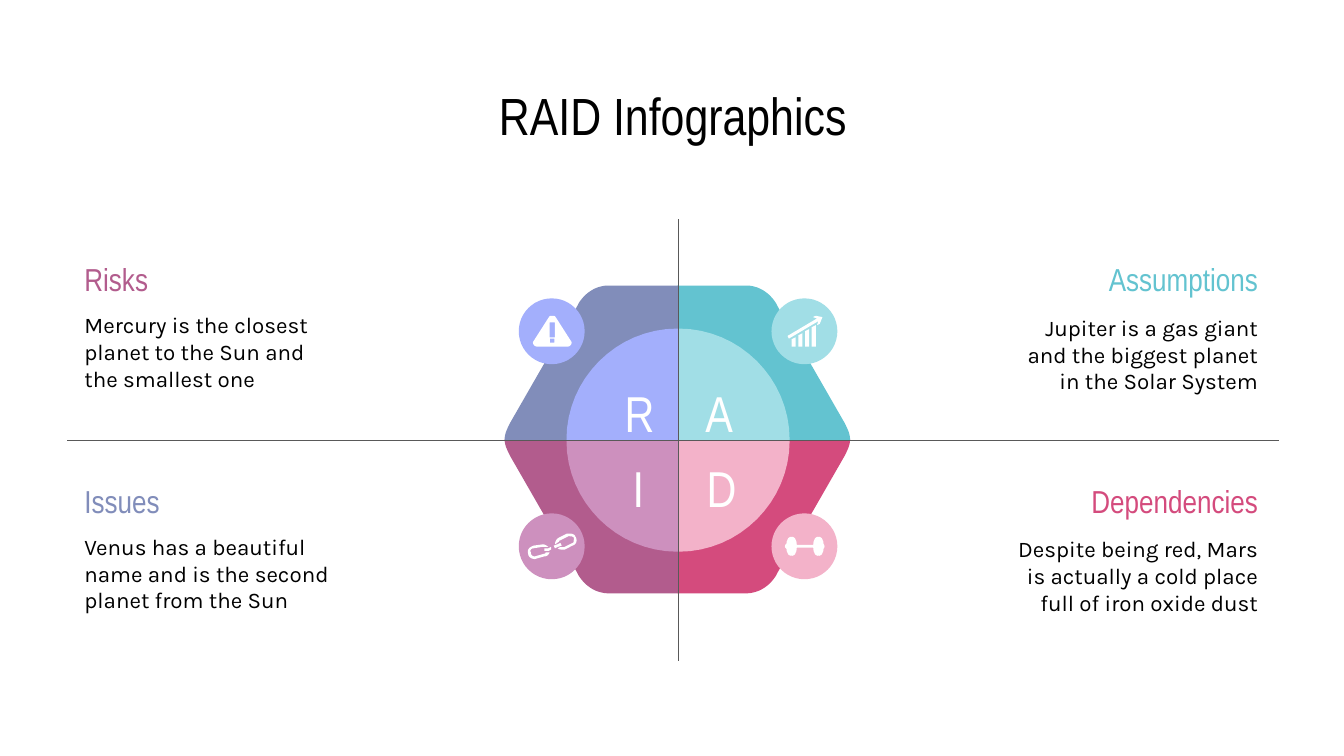
from dataclasses import dataclass

from lxml import etree
from pptx import Presentation
from pptx.dml.color import RGBColor
from pptx.enum.shapes import MSO_CONNECTOR, MSO_SHAPE
from pptx.enum.text import MSO_ANCHOR, MSO_AUTO_SIZE, PP_ALIGN
from pptx.oxml.ns import qn
from pptx.util import Inches, Pt

OVAL, RECTANGLE = MSO_SHAPE.OVAL, MSO_SHAPE.RECTANGLE
STRAIGHT = MSO_CONNECTOR.STRAIGHT
TOP, MIDDLE = MSO_ANCHOR.TOP, MSO_ANCHOR.MIDDLE
LEFT, CENTER, RIGHT = PP_ALIGN.LEFT, PP_ALIGN.CENTER, PP_ALIGN.RIGHT
NO_AUTOFIT = MSO_AUTO_SIZE.NONE


@dataclass(frozen=True)
class Theme:
    black: str = "000000"
    white: str = "FFFFFF"
    gray: str = "595959"
    blue: str = "818DBA"
    light_blue: str = "A3AFFC"
    teal: str = "63C3D0"
    light_teal: str = "A1DEE6"
    purple: str = "B25C8D"
    light_purple: str = "CD90BE"
    red: str = "D44B7D"
    light_red: str = "F3B2C9"
    heading_font: str = "Arial Narrow"
    body_font: str = "Karla"
    title_size: int = 28
    letter_size: int = 27
    heading_size: int = 17
    body_size: int = 12
    line_width: float = 0.75


theme = Theme()
presentation = Presentation()
presentation.slide_width = Inches(10)
presentation.slide_height = presentation.slide_width * 9 // 16
slide = presentation.slides.add_slide(presentation.slide_layouts[5])
shapes = slide.shapes
cell = presentation.slide_width // 100


def add_text(text, box, size, color, font=theme.heading_font, align=CENTER, anchor=MIDDLE, shape=None):
    left, top, width, height = [round(value * cell) for value in box]
    shape = shape or shapes.add_textbox(left, top, width, height)
    shape.left, shape.top, shape.width, shape.height = left, top, width, height
    frame = shape.text_frame
    frame.auto_size = NO_AUTOFIT
    frame.word_wrap = True
    frame.vertical_anchor = anchor
    frame.margin_left = frame.margin_right = frame.margin_top = frame.margin_bottom = Inches(0.1)
    paragraph = frame.paragraphs[0]
    paragraph.alignment = align
    run = paragraph.add_run()
    run.text = text
    run.font.name = font
    run.font.size = Pt(size)
    run.font.color.rgb = RGBColor.from_string(color)


def add_outline(contours, origin=(0, 0), flip=(1, 1)):
    builder = None
    for contour in contours:
        points = []
        for step in contour:
            if len(step) == 2:
                points.append(step)
                continue
            curve = [points[-1], step[:2], step[2:4], step[4:]]
            for index in range(1, 17):
                t = index / 16
                weights = ((1 - t) ** 3, 3 * t * (1 - t) ** 2, 3 * t * t * (1 - t), t ** 3)
                points.append([sum(w * p[axis] for w, p in zip(weights, curve)) for axis in (0, 1)])
        points = [[round((origin[axis] + flip[axis] * point[axis]) * cell) for axis in (0, 1)] for point in points]
        if builder is None:
            builder = shapes.build_freeform(*points[0])
        else:
            builder.move_to(*points[0])
        builder.add_line_segments(points[1:], close=True)
    return builder.convert_to_shape()


add_text("RAID Infographics", (7.8, 5.9, 84.5, 5.3), theme.title_size, theme.black, shape=shapes.title)

wedge = [(8.1, 0), (8.1, 4.5, 4.5, 8.2, 0, 8.2), (0, 11.4), (5.1, 11.4), (6, 11.4, 6.8, 10.9, 7.3, 10.1),
         (7.4, 9.9), (12.4, 1.2), (12.6, 0.8, 12.8, 0.4, 12.8, 0)]
sector = [(0, 0), (8.2, 0), (8.2, 4.5, 4.5, 8.2, 0, 8.2)]

warning_icon = [[
    [(41.3, 24), (41.3, 25.1), (40.9, 25.1), (40.9, 24)],
    [(41.25, 25.2), (41.25, 25.5), (40.92, 25.5), (40.92, 25.2)],
    [(41.1, 23.5), (41, 23.5, 40.9, 23.5, 40.85, 23.6), (39.7, 25.4), (39.6, 25.5, 39.7, 25.8, 40, 25.8),
     (42.2, 25.8), (42.5, 25.8, 42.6, 25.5, 42.5, 25.4), (41.35, 23.6), (41.3, 23.5, 41.2, 23.5, 41.1, 23.5)],
]]
bar_tops = [25.1, 24.8, 24.5, 24.2]
growth_icon = [
    [[(left + 0.3, top), (left, top + 0.15), (left, 25.8), (left + 0.3, 25.8)]]
    for left, top in zip([58.9, 59.4, 59.9, 60.4], bar_tops)
]
growth_icon.append([[(60.7, 23.5), (60.5, 23.6), (60.8, 23.7), (58.6, 25), (58.7, 25.2), (60.9, 23.9),
                     (60.8, 24.2), (61, 24.1), (61.2, 23.6)]])
chain_icon = [
    [[(41, 40.7), (40.8, 40.8), (40.5, 40.8), (40.5, 41), (40.8, 41), (41, 40.9)]],
    [[(40.4, 40.5), (39.7, 40.6), (39.4, 40.7, 39.2, 40.9, 39.3, 41.2), (39.3, 41.4, 39.5, 41.6, 39.8, 41.6),
      (40.5, 41.4), (40.7, 41.4, 40.8, 41.3, 40.9, 41.1), (40.6, 41.1), (40.6, 41.2, 40.5, 41.2, 40.5, 41.2),
      (39.8, 41.4), (39.6, 41.4, 39.5, 41.3, 39.5, 41.1), (39.4, 41, 39.5, 40.8, 39.7, 40.8), (40.3, 40.7),
      (40.4, 40.7, 40.5, 40.7, 40.6, 40.7), (40.8, 40.7), (40.7, 40.6, 40.5, 40.5, 40.4, 40.5)]],
    [[(41.7, 40.4), (41.5, 40.5), (41.2, 40.6), (41.3, 40.8), (41.5, 40.7), (41.8, 40.6)]],
    [[(42.4, 39.7), (42.2, 39.7), (41.6, 40), (41.4, 40.1, 41.3, 40.3, 41.3, 40.5), (41.6, 40.3),
      (41.6, 40.3, 41.6, 40.2, 41.7, 40.2), (42.3, 39.9), (42.5, 39.9, 42.6, 39.9, 42.7, 40),
      (42.7, 40.2, 42.7, 40.4, 42.6, 40.4), (42, 40.7), (41.9, 40.7, 41.8, 40.7, 41.7, 40.7), (41.5, 40.8),
      (41.6, 40.9, 41.8, 40.9, 42, 40.9), (42.6, 40.6), (42.9, 40.5, 43, 40.2, 42.8, 39.9),
      (42.8, 39.8, 42.6, 39.7, 42.4, 39.7)]],
]

quadrants = [
    (1, 1, "D", (51.6, 3.4), "Dependencies", theme.red, theme.red, theme.light_red, [],
     "Despite being red, Mars is actually a cold place full of iron oxide dust"),
    (1, -1, "A", (51.5, 3.8), "Assumptions", theme.teal, theme.teal, theme.light_teal, growth_icon,
     "Jupiter is a gas giant and the biggest planet in the Solar System"),
    (-1, 1, "I", (45.8, 3.4), "Issues", theme.blue, theme.purple, theme.light_purple, chain_icon,
     "Venus has a beautiful name and is the second planet from the Sun"),
    (-1, -1, "R", (45.5, 3.8), "Risks", theme.purple, theme.blue, theme.light_blue, warning_icon,
     "Mercury is the closest planet to the Sun and the smallest one"),
]
painted = []
for side, row, letter, (letter_left, letter_width), heading, heading_color, dark, light, icon, body in quadrants:
    is_right, is_lower = side > 0, row > 0
    painted.append((add_outline([wedge], (50.4, 32.7), (side, row)), dark, dark))
    sector_origin = (50.4 + 0.1 * is_right, 32.7 + 0.1 * is_lower)
    painted.append((add_outline([sector], sector_origin, (side, row)), light, light))
    badge = [50.45 + 9.4 * side - 2.45, 32.65 + 8 * row - 2.45, 4.9, 4.9]
    painted.append((shapes.add_shape(OVAL, *[round(value * cell) for value in badge]), light, None))

    letter_top = 33 if is_lower else 27.4
    add_text(letter, (letter_left, letter_top, letter_width, 5.3), theme.letter_size, theme.white, anchor=TOP)
    text_left = 74 if is_right else 5.3
    text_top = 34.9 if is_lower else 18.4
    align = RIGHT if is_right else LEFT
    add_text(heading, (text_left, text_top, 20.6, 4.7), theme.heading_size, heading_color, align=align)
    add_text(body, (text_left, text_top + 3.75, 20.6, 8.4), theme.body_size, theme.black,
             font=theme.body_font, align=align, anchor=MIDDLE if is_right else TOP)
    for contours in icon:
        painted.append((add_outline(contours), theme.white, None))

dumbbell = [(RECTANGLE, 59, 40.55, 1.8, 0.2)]
for plate_left, knob_left in ((58.5, 58.4), (60.5, 60.9)):
    for left, width, height, depth in ((plate_left, 0.6, 1.4, 0.2), (knob_left, 0.35, 0.4, 0.1)):
        top = 40.65 - height / 2
        dumbbell.append((OVAL, left, top, width, height))
        dumbbell.append((OVAL, left + depth, top, width, height))
        dumbbell.append((RECTANGLE, left + width / 2, top, depth, height))
for kind, *box in dumbbell:
    painted.append((shapes.add_shape(kind, *[round(value * cell) for value in box]), theme.white, None))

for shape, fill, line in painted:
    shape.shadow.inherit = False
    shape.fill.solid()
    shape.fill.fore_color.rgb = RGBColor.from_string(fill)
    if line:
        shape.line.color.rgb = RGBColor.from_string(line)
        shape.line.width = Pt(theme.line_width)
    else:
        shape.line.fill.background()

for ends in ((5, 32.8, 95.2, 32.8), (50.5, 16.3, 50.5, 49.2)):
    axis_line = shapes.add_connector(STRAIGHT, *[round(value * cell) for value in ends])
    axis_line.line.color.rgb = RGBColor.from_string(theme.gray)
    axis_line.line.width = Pt(theme.line_width)
    etree.SubElement(axis_line._element.spPr, qn("a:effectLst"))

presentation.save("out.pptx")
